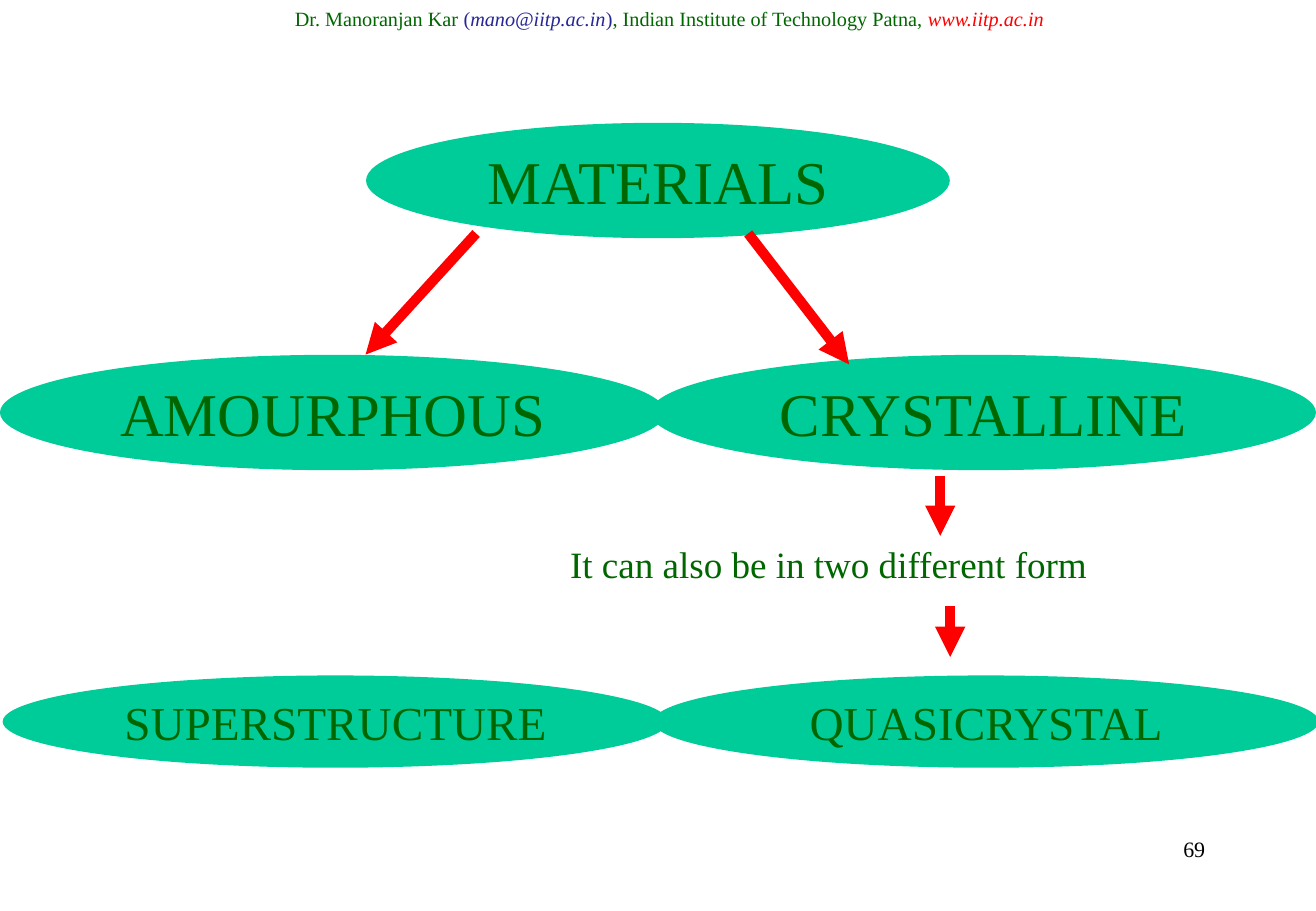
from lxml.etree import SubElement
from pptx import Presentation
from pptx.dml.color import RGBColor
from pptx.enum.shapes import MSO_CONNECTOR, MSO_SHAPE
from pptx.enum.text import MSO_ANCHOR, PP_ALIGN
from pptx.oxml.ns import qn
from pptx.util import Pt

GREEN = RGBColor(0x00, 0x66, 0x00)
TEAL = RGBColor(0x00, 0xCC, 0x99)
RED = RGBColor(0xFF, 0x00, 0x00)
BLUE = RGBColor(0x26, 0x26, 0x99)
BLACK = RGBColor(0x00, 0x00, 0x00)


def write(tf, runs, size, align=PP_ALIGN.CENTER):
    """Fill the first paragraph with (text, colour, italic) runs."""
    p = tf.paragraphs[0]
    p.alignment = align
    for text, color, italic in runs:
        r = p.add_run()
        r.text = text
        font = {"name": "Times New Roman", "size": Pt(size), "italic": italic}
        for key, value in font.items():
            setattr(r.font, key, value)
        r.font.color.rgb = color


prs = Presentation()
prs.slide_width, prs.slide_height = Pt(780), Pt(540)
s = prs.slides.add_slide(prs.slide_layouts[6])

# Material classes: label, left, top, width, height, text size
ellipses = [
    ("MATERIALS", 217, 72.8, 346, 68.4, 36),
    ("AMOURPHOUS", 0, 210.3, 394.4, 68.4, 36),
    ("CRYSTALLINE", 385.6, 210.3, 394.4, 68.4, 36),
    ("SUPERSTRUCTURE", 1.6, 400.4, 394.4, 54.7, 28),
    ("QUASICRYSTAL", 387.2, 400.4, 394.4, 54.7, 28),
]
for label, left, top, width, height, size in ellipses:
    sp = s.shapes.add_shape(MSO_SHAPE.OVAL, Pt(left), Pt(top), Pt(width), Pt(height))
    sp.shadow.inherit = False
    sp.fill.solid()
    sp.fill.fore_color.rgb = TEAL
    sp.line.fill.background()
    sp.text_frame.vertical_anchor = MSO_ANCHOR.MIDDLE
    write(sp.text_frame, [(label, GREEN, False)], size)

# Arrows: start x, start y, end x, end y
arrows = [
    (282.2, 138.4, 216.7, 210.2),
    (443.5, 138.4, 503.3, 216),
    (557.3, 282, 557.3, 317.7),
    (563.2, 359.5, 563.2, 389.5),
]
for points in arrows:
    arrow = s.shapes.add_connector(MSO_CONNECTOR.STRAIGHT, *map(Pt, points))
    arrow.line.color.rgb = RED
    arrow.line.width = Pt(6)
    SubElement(arrow.line._get_or_add_ln(), qn("a:tailEnd"), type="triangle")
    SubElement(arrow._element.spPr, qn("a:effectLst"))

# Text boxes: left, top, width, height, size, alignment, wrap, runs
header = [
    ("Dr. Manoranjan Kar ", GREEN, False),
    ("(", BLUE, False),
    ("mano@iitp.ac.in", BLUE, True),
    (")", BLUE, False),
    (", Indian Institute of Technology Patna, ", GREEN, False),
    ("www.iitp.ac.in", RED, True),
]
note = [("It can also be in two different form", GREEN, False)]
number = [("69", BLACK, False)]
boxes = [
    (165, 0, 463.5, 21.8, 12, PP_ALIGN.CENTER, False, header),
    (330.2, 317.5, 321.8, 33.8, 22, PP_ALIGN.CENTER, False, note),
    (558.7, 491.8, 162.7, 36, 13, PP_ALIGN.RIGHT, True, number),
]
for left, top, width, height, size, align, wrap, runs in boxes:
    tf = s.shapes.add_textbox(Pt(left), Pt(top), Pt(width), Pt(height)).text_frame
    tf.word_wrap = wrap
    write(tf, runs, size, align)

prs.save("out.pptx")
